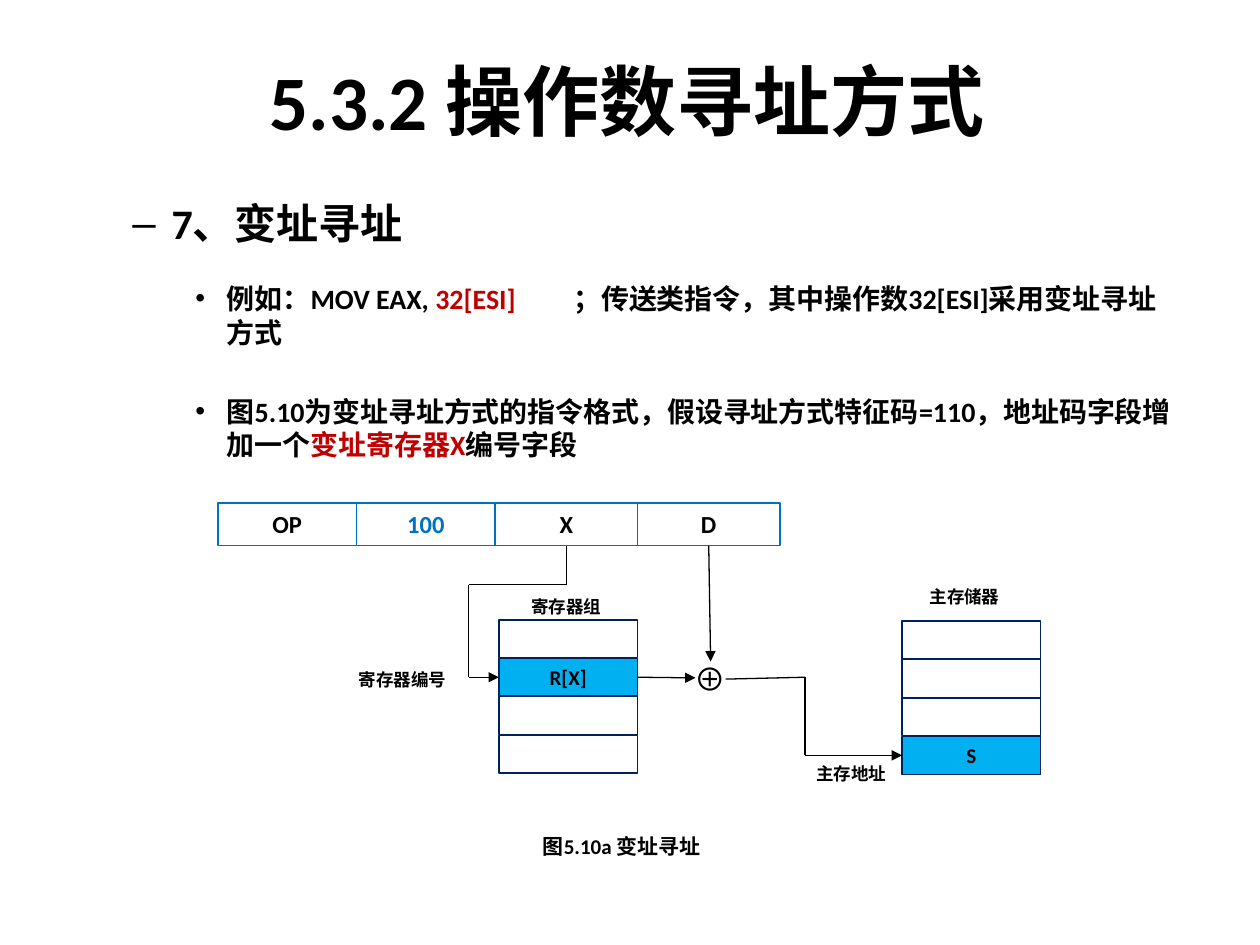
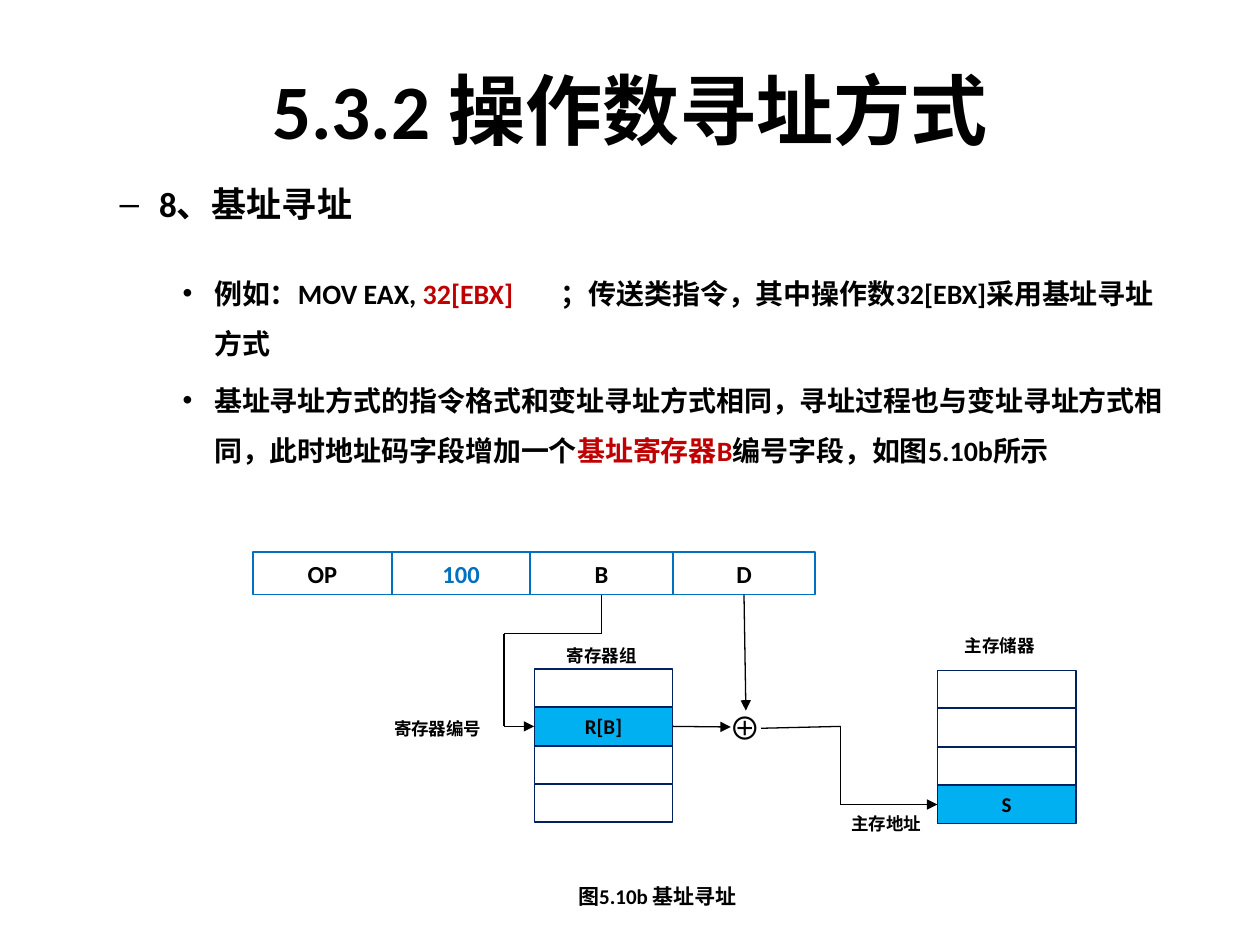
from lxml.etree import SubElement
from pptx import Presentation
from pptx.dml.color import RGBColor
from pptx.enum.shapes import MSO_CONNECTOR, MSO_SHAPE
from pptx.enum.text import MSO_ANCHOR, MSO_AUTO_SIZE, PP_ALIGN
from pptx.oxml.ns import qn
from pptx.util import Inches, Pt

BLACK, RED, BLUE, NAVY, SKY = "000000", "C00000", "0070C0", "002060", "00B0F0"
FONT = "Calibri"
SYMBOL_FONT = "Noto Sans CJK SC"
TITLE = "5.3.2 操作数寻址方式"
TOP, LEFT, BOTTOM, RIGHT = range(4)


def color(value):
    return RGBColor.from_string(value)


def style(font, size, tint=BLACK, bold=True, name=FONT):
    font.size, font.bold, font.name = Pt(size), bold, name
    font.color.rgb = color(tint)


def place(shape, left, top, width, height):
    shape.left, shape.top = Inches(left), Inches(top)
    shape.width, shape.height = Inches(width), Inches(height)


# Title and list
def add_title(page, left, top):
    title = page.shapes.title
    place(title, left, top, 9, 1.25)
    frame = title.text_frame
    frame.text = TITLE
    frame.vertical_anchor = MSO_ANCHOR.MIDDLE
    frame.auto_size = MSO_AUTO_SIZE.NONE
    frame.paragraphs[0].alignment = PP_ALIGN.CENTER
    style(frame.paragraphs[0].font, 44)


def add_list(page, box, items):
    """Each item is (level, size, line spacing, space before, spans)."""
    body = page.placeholders[1]
    place(body, *box)
    frame = body.text_frame
    frame.auto_size = MSO_AUTO_SIZE.NONE
    for index, (level, size, spacing, before, spans) in enumerate(items):
        para = frame.paragraphs[0] if index == 0 else frame.add_paragraph()
        para.level = level
        para.line_spacing, para.space_before = spacing, Pt(before)
        style(para.font, size)
        for text, tint in spans:
            span = para.add_run()
            span.text = text
            style(span.font, size, tint)


# Diagram parts
def add_cell(page, left, top, width, height, line, weight,
             text="", size=12, tint=BLACK, fill=None):
    cell = page.shapes.add_shape(MSO_SHAPE.RECTANGLE, Inches(left), Inches(top),
                                 Inches(width), Inches(height))
    cell.shadow.inherit = False
    cell.line.color.rgb, cell.line.width = color(line), Pt(weight)
    if fill:
        cell.fill.solid()
        cell.fill.fore_color.rgb = color(fill)
    else:
        cell.fill.background()
    if text:
        cell.text_frame.text = text
        cell.text_frame.vertical_anchor = MSO_ANCHOR.MIDDLE
        para = cell.text_frame.paragraphs[0]
        para.alignment = PP_ALIGN.CENTER
        style(para.font, size, tint)
    return cell


def add_label(page, left, top, width, height, text, size=10, wrap=False,
              bold=True, name=FONT):
    label = page.shapes.add_textbox(Inches(left), Inches(top),
                                    Inches(width), Inches(height))
    label.text_frame.word_wrap = wrap
    label.text_frame.text = text
    style(label.text_frame.paragraphs[0].font, size, bold=bold, name=name)


def add_line(page, start, end, arrow=False, begin=None, finish=None):
    """Draw a line; begin and finish are (shape, side) joints."""
    line = page.shapes.add_connector(MSO_CONNECTOR.STRAIGHT,
                                     *(Inches(value) for value in (*start, *end)))
    if begin:
        line.begin_connect(*begin)
    if finish:
        line.end_connect(*finish)
    line.line.color.rgb, line.line.width = color(BLACK), Pt(0.75)
    if arrow:
        SubElement(line.line._get_or_add_ln(), qn("a:tailEnd"), type="triangle")
    SubElement(line._element.spPr, qn("a:effectLst"))


def add_fields(page, left, top, register):
    """Draw the instruction format and return its register and offset fields."""
    fields = [("OP", 1.1, BLACK), ("100", 1.1, BLUE),
              (register, 1.13, BLACK), ("D", 1.13, BLACK)]
    cells = []
    for text, width, tint in fields:
        cells.append(add_cell(page, left, top, width, 0.34, BLUE, 1, text, 14, tint))
        left += width
    return cells[2:]


def add_stack(page, left, top, marked, text):
    """Draw four storage cells and return the marked one."""
    cells = [add_cell(page, left, top + 0.305 * row, 1.1, 0.3, NAVY, 0.75,
                      text if row == marked else "",
                      fill=SKY if row == marked else None)
             for row in range(4)]
    return cells[marked]


def add_diagram(page, left, top, register, caption):
    def at(across, down):
        return left + across, top + down

    index_field, offset_field = add_fields(page, left, top, register)
    register_cell = add_stack(page, *at(2.23, 0.93), 1, f"R[{register}]")
    memory_cell = add_stack(page, *at(5.43, 0.94), 3, "S")

    # Register number path
    field_x, turn_x, turn_y, register_y = 2.765, 1.99, 0.65, 1.385
    add_line(page, at(field_x, 0.34), at(field_x, turn_y), begin=(index_field, BOTTOM))
    add_line(page, at(field_x, turn_y), at(turn_x, turn_y))
    add_line(page, at(turn_x, turn_y), at(turn_x, register_y))
    add_line(page, at(turn_x, register_y), at(2.23, register_y), True,
             finish=(register_cell, LEFT))

    # Inputs of the adder
    add_line(page, at(3.9, 0.34), at(3.91, 1.26), True, begin=(offset_field, BOTTOM))
    add_line(page, at(3.33, register_y), at(3.79, 1.39), True,
             begin=(register_cell, RIGHT))
    add_label(page, *at(3.68, 1.2), 0.45, 0.4, "⊕", 18, bold=False, name=SYMBOL_FONT)

    # Memory address path
    drop_x, memory_y = 4.66, 2.005
    add_line(page, at(4.03, 1.4), at(drop_x, register_y))
    add_line(page, at(drop_x, register_y), at(drop_x, memory_y))
    add_line(page, at(drop_x, memory_y), at(5.43, memory_y), True,
             finish=(memory_cell, LEFT))

    # Labels and caption
    for text, across, down, width in [("寄存器组", 2.39, 0.69, 0.76),
                                      ("寄存器编号", 1.02, 1.27, 0.9),
                                      ("主存储器", 5.55, 0.61, 0.76),
                                      ("主存地址", 4.65, 2.02, 0.76)]:
        add_label(page, *at(across, down), width, 0.27, text)
    add_label(page, *at(2.48, 2.58), 1.58, 0.3, caption, 12, wrap=True)


def add_page(deck, title_at, list_box, items, diagram):
    page = deck.slides.add_slide(deck.slide_layouts[1])
    add_title(page, *title_at)
    add_list(page, list_box, items)
    add_diagram(page, *diagram)


def main():
    deck = Presentation()
    deck.slide_width, deck.slide_height = Inches(10), Inches(7.5)

    # Indexed addressing
    add_page(deck, (0.48, 0.17), (0.45, 1.32, 9, 4.61), [
        (1, 24, 1.5, 0, [("7、变址寻址", BLACK)]),
        (2, 16, 1, 19, [("例如：MOV EAX, ", BLACK), ("32[ESI]\t", RED),
                        ("；传送类指令，其中操作数32[ESI]采用变址寻址方式", BLACK)]),
        (2, 16, 1, 26, [("图5.10为变址寻址方式的指令格式，假设寻址方式特征码=110，"
                         "地址码字段增加一个", BLACK),
                        ("变址寄存器X", RED), ("编号字段", BLACK)]),
    ], (1.73, 3.99, "X", "图5.10a 变址寻址"))

    # Base addressing
    add_page(deck, (0.5, 0.24), (0.35, 1.4, 9, 2.4), [
        (1, 20, 1, 0, [("8、基址寻址", BLACK)]),
        (2, 16, 1.5, 20, [("例如：MOV EAX, ", BLACK), ("32[EBX]\t", RED),
                          ("；传送类指令，其中操作数32[EBX]采用基址寻址方式", BLACK)]),
        (2, 16, 1.5, 3.5, [("基址寻址方式的指令格式和变址寻址方式相同，"
                            "寻址过程也与变址寻址方式相同，"
                            "此时地址码字段增加一个", BLACK),
                           ("基址寄存器B", RED), ("编号字段，如图5.10b所示", BLACK)]),
    ], (2.01, 4.38, "B", "图5.10b 基址寻址"))

    deck.save("out.pptx")


if __name__ == "__main__":
    main()
